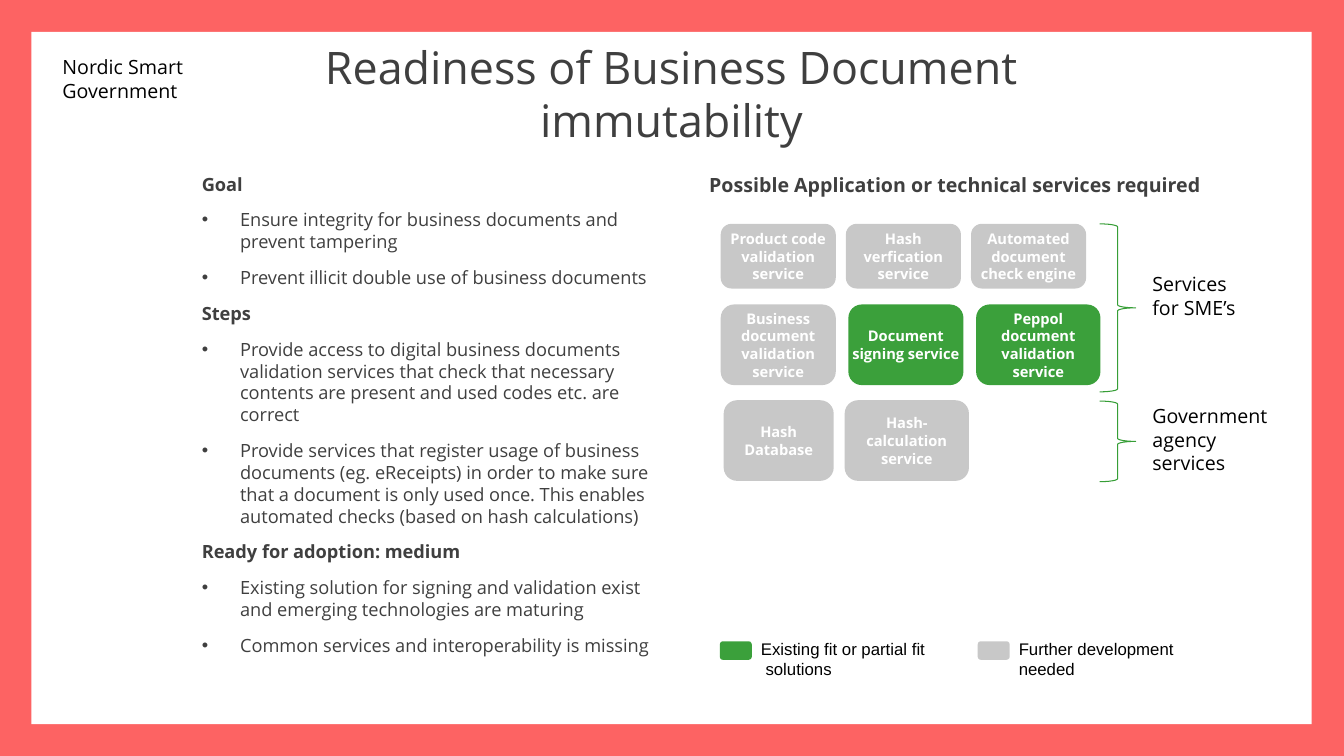
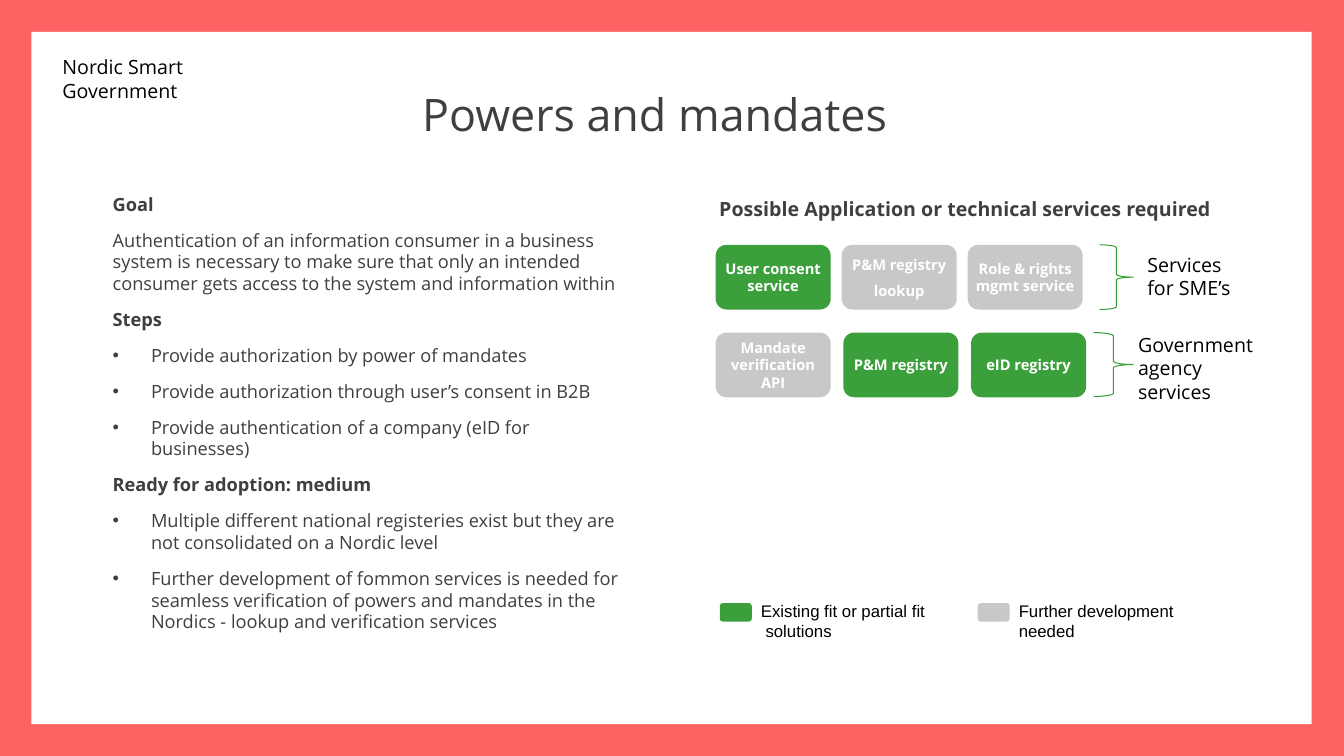
from dataclasses import dataclass
from enum import Enum

from lxml import etree
from pptx import Presentation
from pptx.dml.color import RGBColor
from pptx.enum import shapes, text
from pptx.oxml.ns import qn
from pptx.util import Emu, Inches, Pt

# Shared look: all lengths are cells of a 160 x 90 grid over the slide
WIDTH, HEIGHT = Inches(13.333), Inches(7.5)
CELL = HEIGHT / 90
COLORS = {
    "frame": "FD6363", "panel": "FFFFFF", "text": "3F3F3F", "label": "000000",
    "ready": "3BA03B", "planned": "C8C8C8", "brace": "369E36",
}
FONT, LEGEND_FONT = "Open Sans", "Arial"
LINE_HEIGHT = 1.2
BOX_WIDTH = 13.7
SERVICES_HEADING = "Possible Application or technical services required"
LEGEND = (("ready", "Existing fit or partial fit  solutions"),
          ("planned", "Further development needed"))


class Kind(Enum):
    HEADING = "heading"
    PLAIN = "plain"
    BULLET = "bullet"


@dataclass(frozen=True)
class Area:
    left: float
    top: float
    width: float
    height: float

    def emu(self) -> tuple[Emu, ...]:
        return tuple(Emu(round(cells * CELL))
                     for cells in (self.left, self.top, self.width, self.height))


@dataclass(frozen=True)
class Line:
    kind: Kind
    text: str


@dataclass(frozen=True)
class Service:
    name: str
    status: str = "planned"
    width: float = BOX_WIDTH


@dataclass(frozen=True)
class Row:
    left: float
    top: float
    height: float
    gap: float
    services: tuple[Service, ...]


@dataclass(frozen=True)
class Group:
    brace: Area
    label: Area
    name: str


@dataclass(frozen=True)
class Page:
    title: str
    title_area: Area
    body_area: Area
    body: tuple[Line, ...]
    heading_area: Area
    rows: tuple[Row, ...]
    groups: tuple[Group, ...]
    legend_top: float


def color(name: str) -> RGBColor:
    return RGBColor.from_string(COLORS[name])


# Drawing helpers
def format_paragraph(paragraph, size: float, color_name: str, bold: bool = False,
                     font: str = FONT, align=text.PP_ALIGN.LEFT) -> None:
    paragraph.font.name = font
    paragraph.font.size = Pt(size)
    paragraph.font.bold = bold
    paragraph.font.color.rgb = color(color_name)
    paragraph.alignment = align
    paragraph.line_spacing = Pt(round(size * LINE_HEIGHT, 1))


def add_text(slide, area: Area, content: str, size: float, color_name: str = "label",
             bold: bool = False, font: str = FONT):
    box = slide.shapes.add_textbox(*area.emu())
    box.text_frame.word_wrap = True
    paragraph = box.text_frame.paragraphs[0]
    paragraph.text = content
    format_paragraph(paragraph, size, color_name, bold, font)
    return box


def add_filled(slide, preset, area: Area, color_name: str):
    shape = slide.shapes.add_shape(preset, *area.emu())
    shape.shadow.inherit = False
    shape.fill.solid()
    shape.fill.fore_color.rgb = color(color_name)
    shape.line.fill.background()
    return shape


def indent(paragraph, bullet: bool) -> None:
    properties = paragraph._p.get_or_add_pPr()
    properties.set("marL", str(Inches(0.5 if bullet else 0.12)))
    properties.set("indent", str(Inches(-0.38 if bullet else 0)))
    if bullet:
        etree.SubElement(properties, qn("a:buFont")).set("typeface", "Arial")
        etree.SubElement(properties, qn("a:buChar")).set("char", "•")
    # Default run properties have to follow the bullet
    properties.append(properties.find(qn("a:defRPr")))


def add_body(slide, area: Area, lines: tuple[Line, ...], size: float) -> None:
    frame = slide.shapes.add_textbox(*area.emu()).text_frame
    frame.word_wrap = True
    for index, line in enumerate(lines):
        paragraph = frame.add_paragraph() if index else frame.paragraphs[0]
        paragraph.text = line.text
        format_paragraph(paragraph, size, "text", bold=line.kind is Kind.HEADING)
        paragraph.space_before = Pt(10)
        indent(paragraph, line.kind is Kind.BULLET)


def add_row(slide, row: Row) -> None:
    left = row.left
    for service in row.services:
        area = Area(left, row.top, service.width, row.height)
        box = add_filled(slide, shapes.MSO_SHAPE.ROUNDED_RECTANGLE, area, service.status)
        frame = box.text_frame
        frame.word_wrap = True
        frame.vertical_anchor = text.MSO_ANCHOR.MIDDLE
        frame.margin_left = frame.margin_right = frame.margin_top = frame.margin_bottom = 0
        frame.text = service.name
        for index, paragraph in enumerate(frame.paragraphs):
            format_paragraph(paragraph, 10.5, "panel", bold=True, align=text.PP_ALIGN.CENTER)
            paragraph.space_before = Pt(6 if index else 0)
        left += service.width + row.gap


def add_group(slide, group: Group) -> None:
    brace = slide.shapes.add_shape(shapes.MSO_SHAPE.RIGHT_BRACE, *group.brace.emu())
    brace.shadow.inherit = False
    brace.fill.background()
    brace.line.color.rgb = color("brace")
    brace.line.width = Pt(0.75)
    add_text(slide, group.label, group.name, 14)


def add_legend(slide, top: float) -> None:
    for index, (status, meaning) in enumerate(LEGEND):
        left = 85.7 + index * 30.7
        add_filled(slide, shapes.MSO_SHAPE.ROUNDED_RECTANGLE,
                   Area(left, top + 0.9, 3.8, 2.2), status)
        add_text(slide, Area(left + 3.7, top, 22, 4.1), meaning, 12, font=LEGEND_FONT)


def add_frame(slide) -> None:
    panel = add_filled(slide, shapes.MSO_SHAPE.RECTANGLE,
                       Area(3.75, 3.8, 152.4, 82.4), "panel")
    # Send the panel behind the title
    panel.element.getparent().insert(2, panel.element)
    add_text(slide, Area(6.25, 6, 18, 6.8), "Nordic Smart\nGovernment", 14)


def set_title(slide, page: Page) -> None:
    title = slide.shapes.title
    title.left, title.top, title.width, title.height = page.title_area.emu()
    title.text_frame.text = page.title
    title.text_frame.word_wrap = True
    title.text_frame.auto_size = text.MSO_AUTO_SIZE.NONE
    title.text_frame.vertical_anchor = text.MSO_ANCHOR.BOTTOM
    format_paragraph(title.text_frame.paragraphs[0], 32, "text", align=text.PP_ALIGN.CENTER)


def add_page(presentation, page: Page) -> None:
    slide = presentation.slides.add_slide(presentation.slide_layouts[5])
    add_frame(slide)
    set_title(slide, page)
    add_body(slide, page.body_area, page.body, 13)
    add_body(slide, page.heading_area, (Line(Kind.HEADING, SERVICES_HEADING),), 14)
    for row in page.rows:
        add_row(slide, row)
    for group in page.groups:
        add_group(slide, group)
    add_legend(slide, page.legend_top)


# Slide content
PAGES = (
    Page(
        title="Readiness of Business Document immutability",
        title_area=Area(21.4, 8.9, 117.1, 9.2),
        body_area=Area(21.4, 20, 59.2, 60.5),
        body=(
            Line(Kind.HEADING, "Goal"),
            Line(Kind.BULLET, "Ensure integrity for business documents and prevent tampering"),
            Line(Kind.BULLET, "Prevent illicit double use of business documents"),
            Line(Kind.HEADING, "Steps"),
            Line(Kind.BULLET, "Provide access to digital business documents validation services "
                 "that check that necessary contents are present and used codes etc. are correct"),
            Line(Kind.BULLET, "Provide services that register usage of business documents "
                 "(eg. eReceipts) in order to make sure that a document is only used once. "
                 "This enables automated checks (based on hash calculations)"),
            Line(Kind.HEADING, "Ready for adoption: medium"),
            Line(Kind.BULLET, "Existing solution for signing and validation exist and "
                 "emerging technologies are maturing"),
            Line(Kind.BULLET, "Common services and interoperability is missing"),
        ),
        heading_area=Area(81.8, 20, 64.7, 53),
        rows=(
            Row(85.8, 26.65, 7.7, 1.2, (
                Service("Product code validation service"),
                Service("Hash verfication service"),
                Service("Automated document check engine"))),
            Row(85.8, 36.25, 9.6, 1.5, (
                Service("Business document validation service"),
                Service("Document signing service", "ready"),
                Service("Peppol document validation service", "ready", 14.8))),
            Row(86.15, 47.65, 9.6, 1.3, (
                Service("Hash Database", width=13.1),
                Service("Hash-calculation service", width=14.8))),
        ),
        groups=(
            Group(Area(130.9, 26.65, 4.3, 20), Area(136, 31.8, 14.8, 6.8), "Services for SME’s"),
            Group(Area(130.9, 47.75, 4.3, 9.6), Area(136, 47.5, 17.9, 9.7),
                  "Government agency services"),
        ),
        legend_top=75.45,
    ),
    Page(
        title="Powers and mandates",
        title_area=Area(19.4, 9.4, 117.1, 7.9),
        body_area=Area(10.8, 22.4, 65.4, 53),
        body=(
            Line(Kind.HEADING, "Goal"),
            Line(Kind.PLAIN, "Authentication of an information consumer in a business system is "
                 "necessary to make sure that only an intended consumer gets access to the "
                 "system and information within"),
            Line(Kind.HEADING, "Steps"),
            Line(Kind.BULLET, "Provide authorization by power of mandates"),
            Line(Kind.BULLET, "Provide authorization through user’s consent in B2B"),
            Line(Kind.BULLET, "Provide authentication of a company (eID for businesses)"),
            Line(Kind.HEADING, "Ready for adoption: medium"),
            Line(Kind.BULLET, "Multiple different national registeries exist but they are not "
                 "consolidated on a Nordic level"),
            Line(Kind.BULLET, "Further development of fommon services is needed for seamless "
                 "verification of powers and mandates in the Nordics - lookup and "
                 "verification services"),
        ),
        heading_area=Area(83, 22.8, 64, 53),
        rows=(
            Row(85.2, 29.15, 7.7, 1.3, (
                Service("User consent service", "ready"),
                Service("P&M registry\nlookup"),
                Service("Role & rights mgmt service"))),
            Row(85.2, 39.6, 7.7, 1.5, (
                Service("Mandate verification API"),
                Service("P&M registry", "ready"),
                Service("eID registry", "ready"))),
        ),
        groups=(
            Group(Area(130.9, 29.15, 4, 7.7), Area(135.4, 29.5, 14.8, 6.8), "Services for SME’s"),
            Group(Area(130.2, 39.6, 4.7, 7.6), Area(134.3, 39, 17.6, 9.7),
                  "Government agency services"),
        ),
        legend_top=70.9,
    ),
)


def main() -> None:
    presentation = Presentation()
    presentation.slide_width, presentation.slide_height = WIDTH, HEIGHT
    background = presentation.slide_master.background.fill
    background.solid()
    background.fore_color.rgb = color("frame")
    for page in PAGES:
        add_page(presentation, page)
    presentation.save("out.pptx")


if __name__ == "__main__":
    main()
